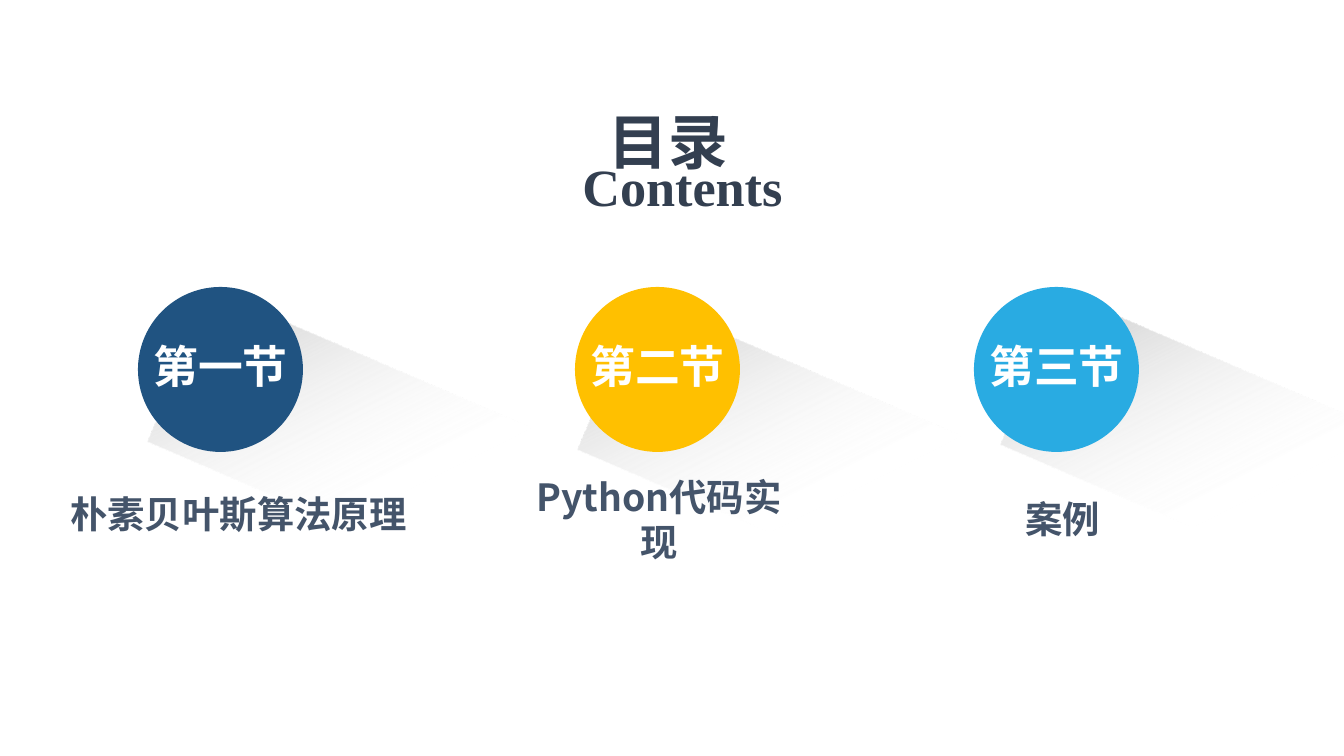
from lxml.etree import SubElement
from pptx import Presentation
from pptx.dml.color import RGBColor
from pptx.enum.shapes import MSO_SHAPE as Shape
from pptx.enum.text import MSO_ANCHOR as Anchor, MSO_AUTO_SIZE as Auto, PP_ALIGN as Align
from pptx.oxml import parse_xml
from pptx.oxml.ns import nsdecls, qn
from pptx.util import Pt

SCALE = 914400 / 134.4
SANS, SERIF = "Noto Sans CJK SC", "Times New Roman"
DARK, SLATE, WHITE = "333F50", "44546A", "FFFFFF"
DISC, DISC_TOP = 165, 287
LABEL_W, LABEL_TOP = 177, 332
SHADE_W, SHADE_H, TILT = 500, 164, 23.3
STOPS = [(0, "4991D2", 54), (0, "BFBFBF", 100), (54, "FFFFFF", 0)]
PARTS = [
    {"name": "第一节", "color": "205381", "left": 138, "shade": (160, 383),
     "topic": "朴素贝叶斯算法原理", "box": (69, 491, 339, 46)},
    {"name": "第二节", "color": "FFC000", "left": 575, "shade": (590, 391),
     "topic": "Python代码实现", "box": (519, 496, 280, 46)},
    {"name": "第三节", "color": "29ABE2", "left": 974, "shade": (1013, 386),
     "topic": "案例", "box": (1019, 496, 87, 46)},
]


def px(*nums):
    return [round(n * SCALE) for n in nums]


def rgb(code):
    return RGBColor.from_string(code)


def add_form(slide, kind, box):
    form = slide.shapes.add_shape(kind, *px(*box))
    form.shadow.inherit = False
    form.fill.background()
    form.line.fill.background()
    return form


def add_shade(slide, spot):
    form = add_form(slide, Shape.RECTANGLE, (*spot, SHADE_W, SHADE_H))
    form.rotation = TILT
    stops = "".join(
        f'<a:gs pos="{pos * 1000}"><a:srgbClr val="{code}">'
        f'<a:alpha val="{alpha * 1000}"/></a:srgbClr></a:gs>'
        for pos, code, alpha in STOPS)
    grad = parse_xml(
        f'<a:gradFill {nsdecls("a")} rotWithShape="1"><a:gsLst>{stops}</a:gsLst>'
        '<a:lin ang="2400000" scaled="0"/></a:gradFill>')
    props = form._element.spPr
    props.replace(props.find(qn("a:noFill")), grad)


def write(form, text, size, color, font=SANS, align=Align.CENTER,
          anchor=Anchor.MIDDLE, wrap=True, inset=0):
    frame = form.text_frame
    frame.word_wrap = wrap
    frame.vertical_anchor = anchor
    frame.margin_left = frame.margin_right = Pt(inset * 2)
    frame.margin_top = frame.margin_bottom = Pt(inset)
    para = frame.paragraphs[0]
    para.alignment = align
    run = para.add_run()
    run.text = text
    run.font.size = Pt(size)
    run.font.bold = True
    run.font.color.rgb = rgb(color)
    run.font.name = font
    SubElement(run.font._element, qn("a:ea")).set("typeface", font)
    return frame


def main():
    """Build the contents slide with three numbered sections."""
    deck = Presentation()
    deck.slide_width, deck.slide_height = px(1344, 756)
    slide = deck.slides.add_slide(deck.slide_layouts[6])
    shapes = slide.shapes

    for part in PARTS:
        add_shade(slide, part["shade"])
    for part in PARTS:
        disc = add_form(slide, Shape.OVAL, (part["left"], DISC_TOP, DISC, DISC))
        disc.fill.solid()
        disc.fill.fore_color.rgb = rgb(part["color"])

    title = shapes.add_textbox(*px(609, 105, 148, 67))
    write(title, "目录", 32, DARK, align=Align.JUSTIFY, anchor=Anchor.TOP)
    gem = add_form(slide, Shape.DIAMOND, (598, 102, 169, 167))
    write(gem, "Contents", 28, DARK, font=SERIF, wrap=False)

    for part in PARTS:
        left = part["left"] + (DISC - LABEL_W) / 2
        label = shapes.add_textbox(*px(left, LABEL_TOP, LABEL_W, 67))
        write(label, part["name"], 24, WHITE, anchor=Anchor.TOP, wrap=False, inset=3.6)
        topic = shapes.add_textbox(*px(*part["box"]))
        frame = write(topic, part["topic"], 20, SLATE)
        frame.auto_size = Auto.SHAPE_TO_FIT_TEXT

    deck.save("out.pptx")


if __name__ == "__main__":
    main()
